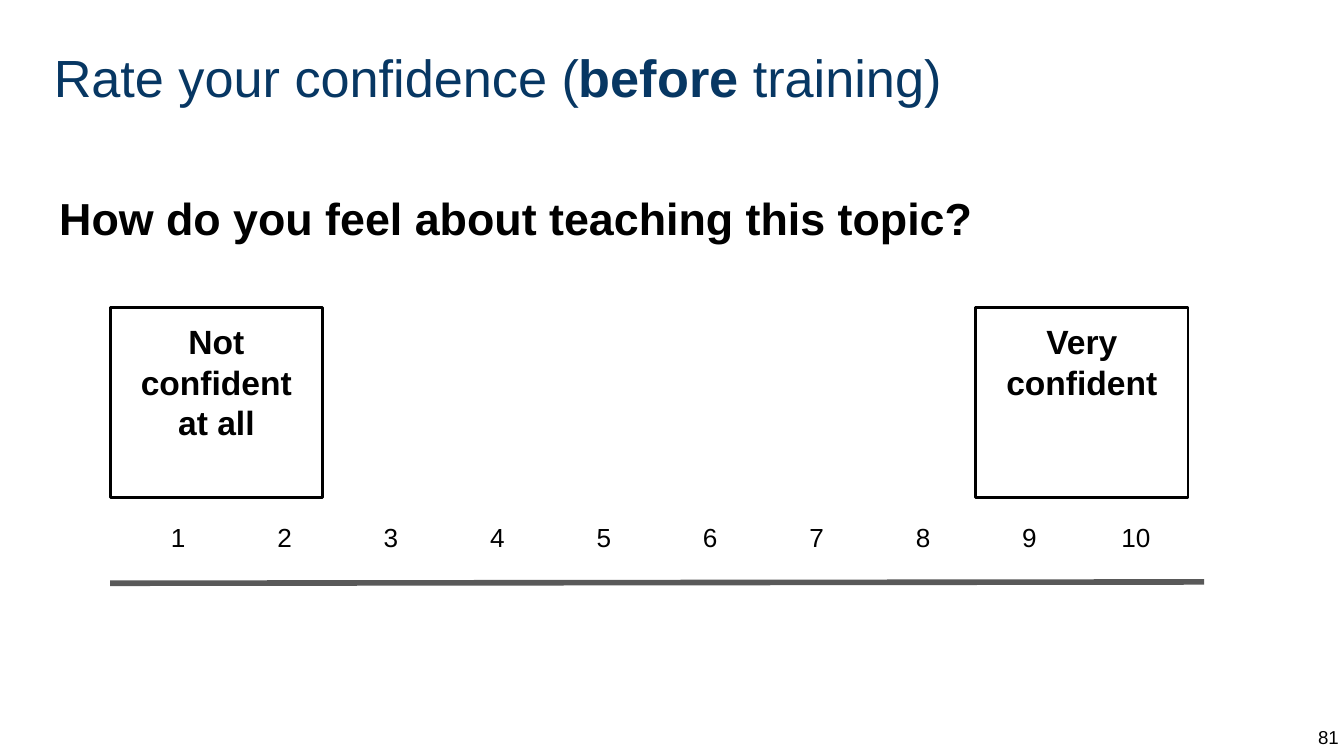
from lxml import etree
from pptx import Presentation
from pptx import util as u
from pptx.dml.color import RGBColor
from pptx.enum import shapes, text
from pptx.oxml.ns import qn

THEME = {
    "font": "Arial",
    "ink": RGBColor.from_string("000000"),
    "title_ink": RGBColor.from_string("073763"),
    "scale_ink": RGBColor.from_string("595959"),
    "title": 28, "question": 24, "label": 18, "score": 14, "page": 10,
}
LEFT, CENTER, RIGHT = text.PP_ALIGN.LEFT, text.PP_ALIGN.CENTER, text.PP_ALIGN.RIGHT
TOP, MIDDLE = text.MSO_ANCHOR.TOP, text.MSO_ANCHOR.MIDDLE


def write(frame, runs, size, color="ink", align=LEFT, anchor=TOP):
    """Fill a text frame with one paragraph of (wording, bold) runs."""
    layout = {"word_wrap": True, "auto_size": text.MSO_AUTO_SIZE.NONE,
              "vertical_anchor": anchor}
    for side in ("left", "top", "right", "bottom"):
        layout[f"margin_{side}"] = u.Inches(0.1)
    for name, value in layout.items():
        setattr(frame, name, value)
    paragraph = frame.paragraphs[0]
    paragraph.alignment = align
    for wording, bold in runs:
        run = paragraph.add_run()
        run.text = wording
        style = {"name": THEME["font"], "size": u.Pt(THEME[size]), "bold": bold}
        for name, value in style.items():
            setattr(run.font, name, value)
        run.font.color.rgb = THEME[color]
    return paragraph


def place(shape, *box):
    for name, value in zip(("left", "top", "width", "height"), box):
        setattr(shape, name, u.Inches(value))


deck = Presentation()
deck.slide_width, deck.slide_height = u.Inches(10), u.Inches(10 * 9 / 16)
slide = deck.slides.add_slide(deck.slide_layouts[1])

# Question
question = slide.placeholders[1]
place(question, 0.34, 1.26, 9.32, 3.74)
line = write(question.text_frame,
             [("How do you feel about teaching this topic?", True)], "question")
spacing = {"line_spacing": 1.15, "space_before": u.Pt(0), "space_after": u.Pt(16)}
for name, value in spacing.items():
    setattr(line, name, value)
properties = line._p.get_or_add_pPr()
properties.set("marL", "0")
properties.set("indent", "0")
etree.SubElement(properties, qn("a:buNone"))

# Scale line
scale = slide.shapes.add_connector(
    shapes.MSO_CONNECTOR.STRAIGHT,
    u.Inches(0.82), u.Inches(4.34), u.Inches(8.96), u.Inches(4.33))
scale.line.color.rgb = THEME["scale_ink"]
scale.line.width = u.Pt(3)
etree.SubElement(scale._element.spPr, qn("a:effectLst"))

# Ends of the scale
for left, wording in ((0.82, "Not confident at all"), (7.26, "Very confident")):
    label = slide.shapes.add_shape(
        shapes.MSO_SHAPE.RECTANGLE,
        u.Inches(left), u.Inches(2.29), u.Inches(1.58), u.Inches(1.41))
    label.shadow.inherit = False
    label.fill.background()
    label.line.color.rgb = THEME["ink"]
    label.line.width = u.Pt(1.5)
    write(label.text_frame, [(wording, True)], "label", align=CENTER)

# Scores
scores = slide.shapes.add_table(
    1, 10, u.Inches(0.93), u.Inches(3.8), u.Inches(7.92), u.Inches(0.42)).table
scores.first_row = scores.horz_banding = False
for score, cell in enumerate(scores.iter_cells(), start=1):
    cell.fill.background()
    for side in ("left", "top", "right", "bottom"):
        setattr(cell, f"margin_{side}", u.Inches(0.1))
    paragraph = cell.text_frame.paragraphs[0]
    paragraph.alignment = CENTER
    run = paragraph.add_run()
    run.text = str(score)
    run.font.name, run.font.size = THEME["font"], u.Pt(THEME["score"])
    run.font.color.rgb = THEME["ink"]

# Title
title = slide.shapes.title
place(title, 0.3, 0.24, 9.36, 0.63)
write(title.text_frame,
      [("Rate your confidence (", False), ("before", True), (" training)", False)],
      "title", "title_ink")

# Page number
page = slide.shapes.add_textbox(
    u.Inches(9.46), u.Inches(5.27), u.Inches(0.6), u.Inches(0.43))
write(page.text_frame, [("81", False)], "page", align=RIGHT, anchor=MIDDLE)

deck.save("out.pptx")
